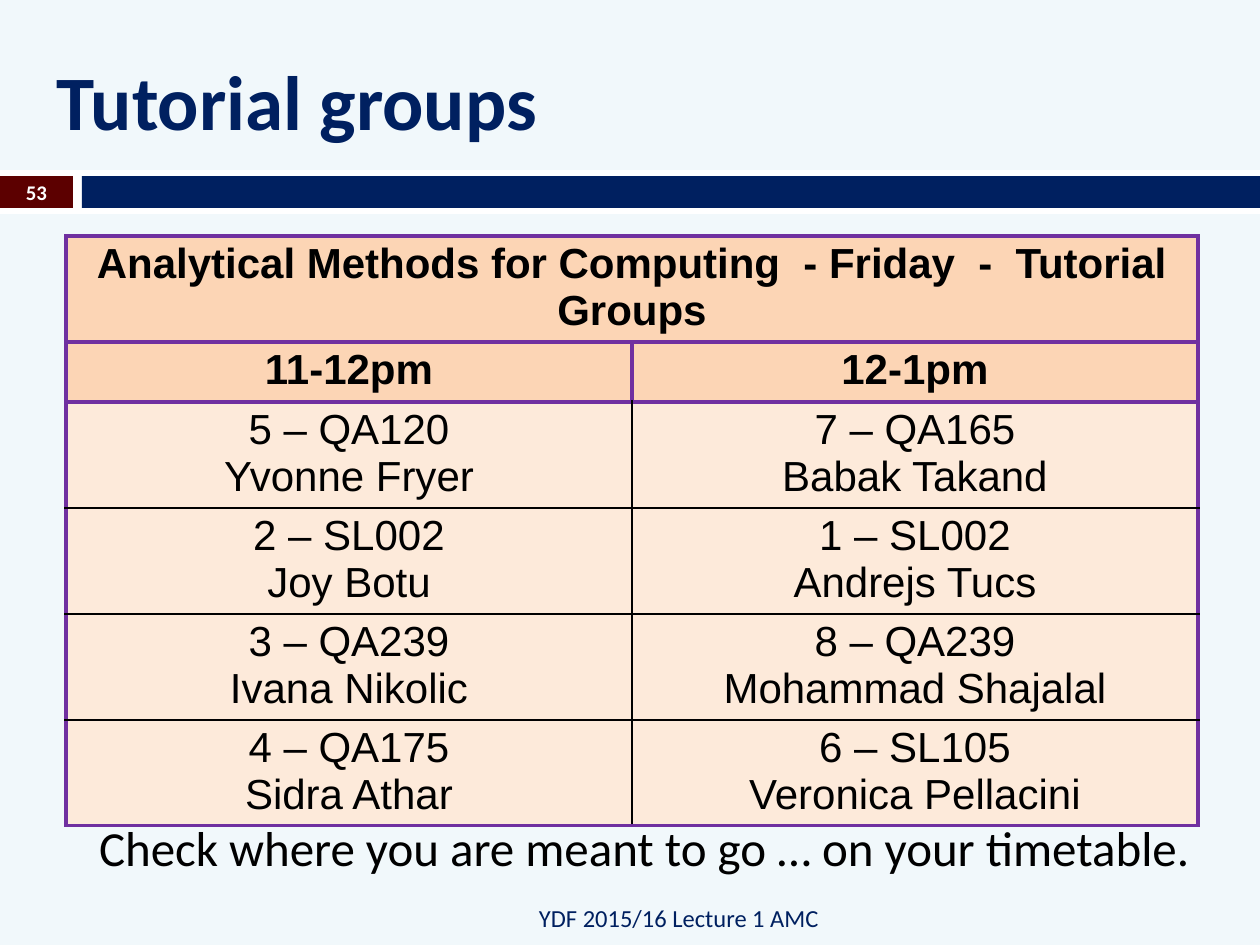
"""Builds the tutorial groups slide with its timetable."""
from dataclasses import dataclass

from lxml import etree
from pptx import Presentation
from pptx.dml.color import RGBColor
from pptx.enum import shapes, text
from pptx.oxml import ns
from pptx.util import Emu, Pt


@dataclass(frozen=True)
class Theme:
    font: str = "Calibri"
    table_font: str = "Arial"
    background: str = "F1F8FB"
    navy: str = "002060"
    maroon: str = "5C0000"
    white: str = "FFFFFF"
    black: str = "000000"
    purple: str = "7030A0"
    header: str = "FCD5B5"
    body: str = "FDEADA"
    title_size: float = 44
    note_size: float = 28
    table_size: float = 24
    footer_size: float = 14
    number_size: float = 11.9
    heavy: float = 2.25
    thin: float = 1


theme = Theme()
align = text.PP_ALIGN
middle = text.MSO_ANCHOR.MIDDLE


def px(length):
    return Emu(round(length * 914400 / 126))


def write(paragraph, words, size, color, bold=False, font=theme.font, alignment=align.LEFT):
    paragraph.alignment = alignment
    run = paragraph.add_run()
    run.text = words
    run.font.name = font
    run.font.size = Pt(size)
    run.font.bold = bold
    run.font.color.rgb = RGBColor.from_string(color)


deck = Presentation()
deck.slide_width, deck.slide_height = px(1260), px(945)
slide = deck.slides.add_slide(deck.slide_layouts[5])
slide.background.fill.solid()
slide.background.fill.fore_color.rgb = RGBColor.from_string(theme.background)

for left, top, width, height, color in (
    (0, 170, 1260, 44, theme.white),
    (0, 176, 73, 32, theme.maroon),
    (82, 176, 1178, 32, theme.navy),
):
    band = slide.shapes.add_shape(
        shapes.MSO_SHAPE.RECTANGLE, px(left), px(top), px(width), px(height))
    band.shadow.inherit = False
    band.fill.solid()
    band.fill.fore_color.rgb = RGBColor.from_string(color)
    band.line.fill.background()

title = slide.shapes.title
title.left, title.top, title.width, title.height = px(44), px(32), px(1181), px(136)
title.text_frame.vertical_anchor = middle
write(title.text_frame.paragraphs[0], "Tutorial groups", theme.title_size, theme.navy, True)

for left, top, width, height, inset, anchor, words, size, color, bold, alignment in (
    (64, 811, 1167, 95, 35, text.MSO_ANCHOR.TOP,
     "Check where you are meant to go … on your timetable.",
     theme.note_size, theme.black, False, align.LEFT),
    (84, 893, 748, 50, 13, middle, "YDF 2015/16 Lecture 1 AMC",
     theme.footer_size, theme.navy, False, align.RIGHT),
    (0, 175, 73, 34, 0, middle, "53",
     theme.number_size, theme.white, True, align.CENTER),
):
    frame = slide.shapes.add_textbox(px(left), px(top), px(width), px(height)).text_frame
    frame.word_wrap = True
    frame.margin_left = frame.margin_right = px(inset)
    frame.vertical_anchor = anchor
    write(frame.paragraphs[0], words, size, color, bold, alignment=alignment)

timetable = (
    (("Analytical Methods for Computing  - Friday  -  Tutorial Groups",), ()),
    (("11-12pm",), ("12-1pm",)),
    (("5 – QA120", "Yvonne Fryer"), ("7 – QA165", "Babak Takand")),
    (("2 – SL002", "Joy Botu"), ("1 – SL002", "Andrejs Tucs")),
    (("3 – QA239", "Ivana Nikolic"), ("8 – QA239", "Mohammad Shajalal")),
    (("4 – QA175", "Sidra Athar"), ("6 – SL105", "Veronica Pellacini")),
)
row_heights = (106, 60, 106, 106, 106, 106)
groups = slide.shapes.add_table(
    len(timetable), 2, px(66), px(236), px(1132), px(sum(row_heights))).table
groups.first_row = groups.horz_banding = False
for column in groups.columns:
    column.width = px(566)
groups.cell(0, 0).merge(groups.cell(0, 1))

for r, (slots, height) in enumerate(zip(timetable, row_heights)):
    groups.rows[r].height = px(height)
    heading = r < 2
    for c, lines in enumerate(slots):
        cell = groups.cell(r, c)
        cell.margin_top = px(5)
        cell.margin_bottom = px(4 if r == 1 else 0)
        properties = cell._tc.get_or_add_tcPr()
        for side, strong in (
            ("L", heading or c == 0),
            ("R", heading or c == 1),
            ("T", r <= 2),
            ("B", heading or r == len(timetable) - 1),
        ):
            edge = etree.SubElement(properties, ns.qn(f"a:ln{side}"))
            edge.set("w", str(Pt(theme.heavy if strong else theme.thin)))
            ink = etree.SubElement(edge, ns.qn("a:solidFill"))
            etree.SubElement(ink, ns.qn("a:srgbClr")).set(
                "val", theme.purple if strong else theme.black)
        cell.fill.solid()
        cell.fill.fore_color.rgb = RGBColor.from_string(theme.header if heading else theme.body)
        for i, line in enumerate(lines):
            frame = cell.text_frame
            paragraph = frame.add_paragraph() if i else frame.paragraphs[0]
            write(paragraph, line, theme.table_size, theme.black, heading,
                  theme.table_font, align.CENTER)

deck.save("out.pptx")
